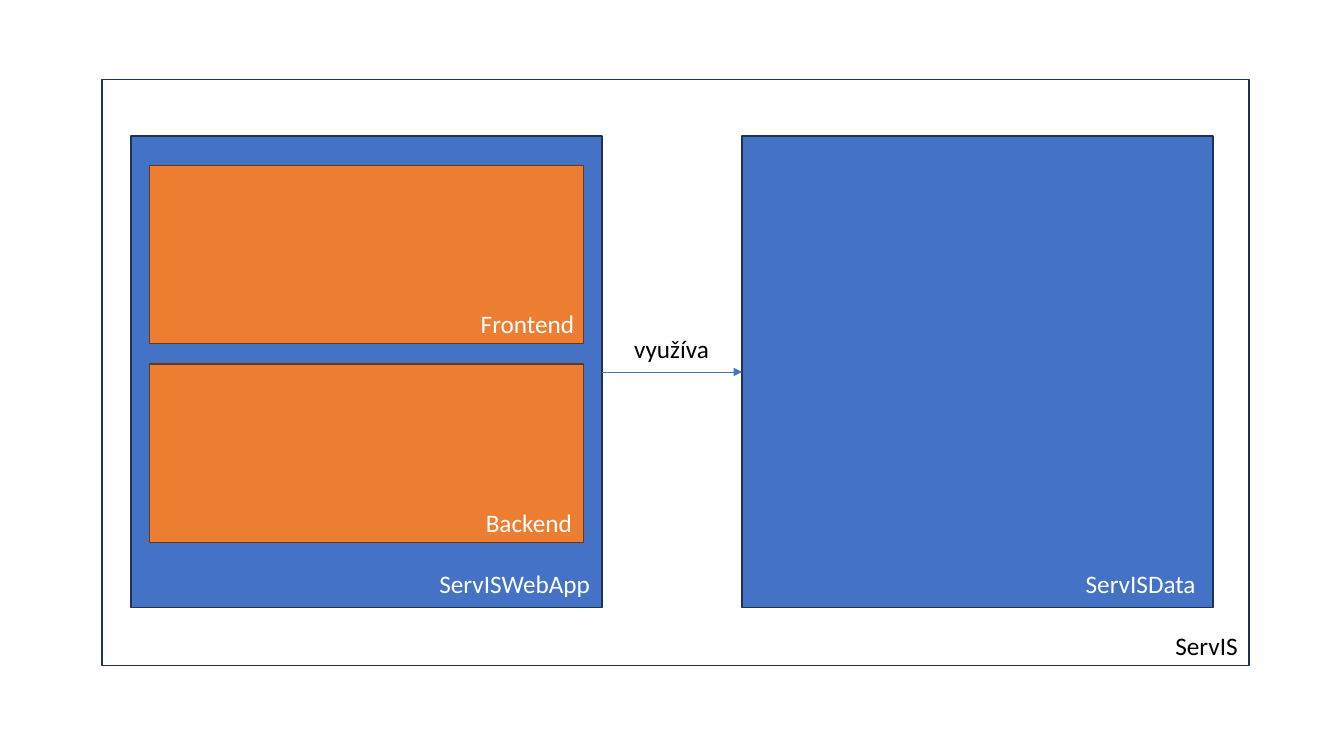
from lxml.etree import SubElement
from pptx import Presentation
from pptx.dml.color import RGBColor
from pptx.enum.shapes import MSO_CONNECTOR as Link, MSO_SHAPE as Shape
from pptx.enum.text import MSO_AUTO_SIZE as Fit
from pptx.oxml.ns import qn
from pptx.util import Inches, Pt

COLORS = {
    "blue": "4472C4",
    "navy": "1E3256",
    "orange": "ED7D31",
    "brown": "683715",
    "black": "000000",
    "white": "FFFFFF",
}


def color(name):
    """Return the named colour."""
    return RGBColor.from_string(COLORS[name])


class Board:
    """Holds the style and the current slide."""

    font = "Calibri"
    size = Pt(18)

    def __init__(self, slide):
        """Draw on the given slide."""
        self.shapes = slide.shapes

    def box(self, left, top, width, height, line, fill=None):
        """Add an outlined rectangle, filled if a colour is given."""
        rect = self.shapes.add_shape(
            Shape.RECTANGLE, *map(Inches, (left, top, width, height)))
        rect.shadow.inherit = False
        rect.line.color.rgb = color(line)
        rect.line.width = Pt(1)
        if fill:
            rect.fill.solid()
            rect.fill.fore_color.rgb = color(fill)
        else:
            rect.fill.background()
        return rect

    def label(self, text, left, top, width, ink="white"):
        """Add a one-line label."""
        box = self.shapes.add_textbox(
            *map(Inches, (left, top, width, 0.4)))
        frame = box.text_frame
        frame.word_wrap = False
        frame.auto_size = Fit.SHAPE_TO_FIT_TEXT
        frame.text = text
        font = frame.paragraphs[0].font
        font.name, font.size = self.font, self.size
        font.color.rgb = color(ink)

    def arrow(self, start, end):
        """Join the right side of one box to the left side of another."""
        link = self.shapes.add_connector(Link.STRAIGHT, 0, 0, 0, 0)
        link.begin_connect(start, 3)
        link.end_connect(end, 1)
        link.line.color.rgb = color("blue")
        link.line.width = Pt(0.5)
        props = link._element.spPr
        SubElement(props.find(qn("a:ln")), qn("a:tailEnd"), type="triangle")
        SubElement(props, qn("a:effectLst"))


deck = Presentation()
deck.slide_width, deck.slide_height = Inches(13.33), Inches(7.5)
board = Board(deck.slides.add_slide(deck.slide_layouts[6]))

# System frame and its two parts
board.box(1.01, 0.79, 11.38, 5.81, "navy")
board.label("ServIS", 11.56, 6.2, 0.83, "black")
app, data = [board.box(left, 1.35, 4.67, 4.68, "navy", "blue")
             for left in (1.3, 7.36)]
board.label("ServISWebApp", 4.26, 5.59, 1.71)
board.label("ServISData", 10.67, 5.59, 1.3)

# Layers of the web app
layers = [("Frontend", 4.67, 1.14), ("Backend", 4.72, 1.07)]
for row, (name, left, width) in enumerate(layers):
    top = 1.64 + row * 1.97
    board.box(1.48, top, 4.31, 1.77, "brown", "orange")
    board.label(name, left, top + 1.37, width)

# Use of the data part by the web app
board.arrow(app, data)
board.label("využíva", 6.19, 3.26, 0.95, "black")

deck.save("out.pptx")
